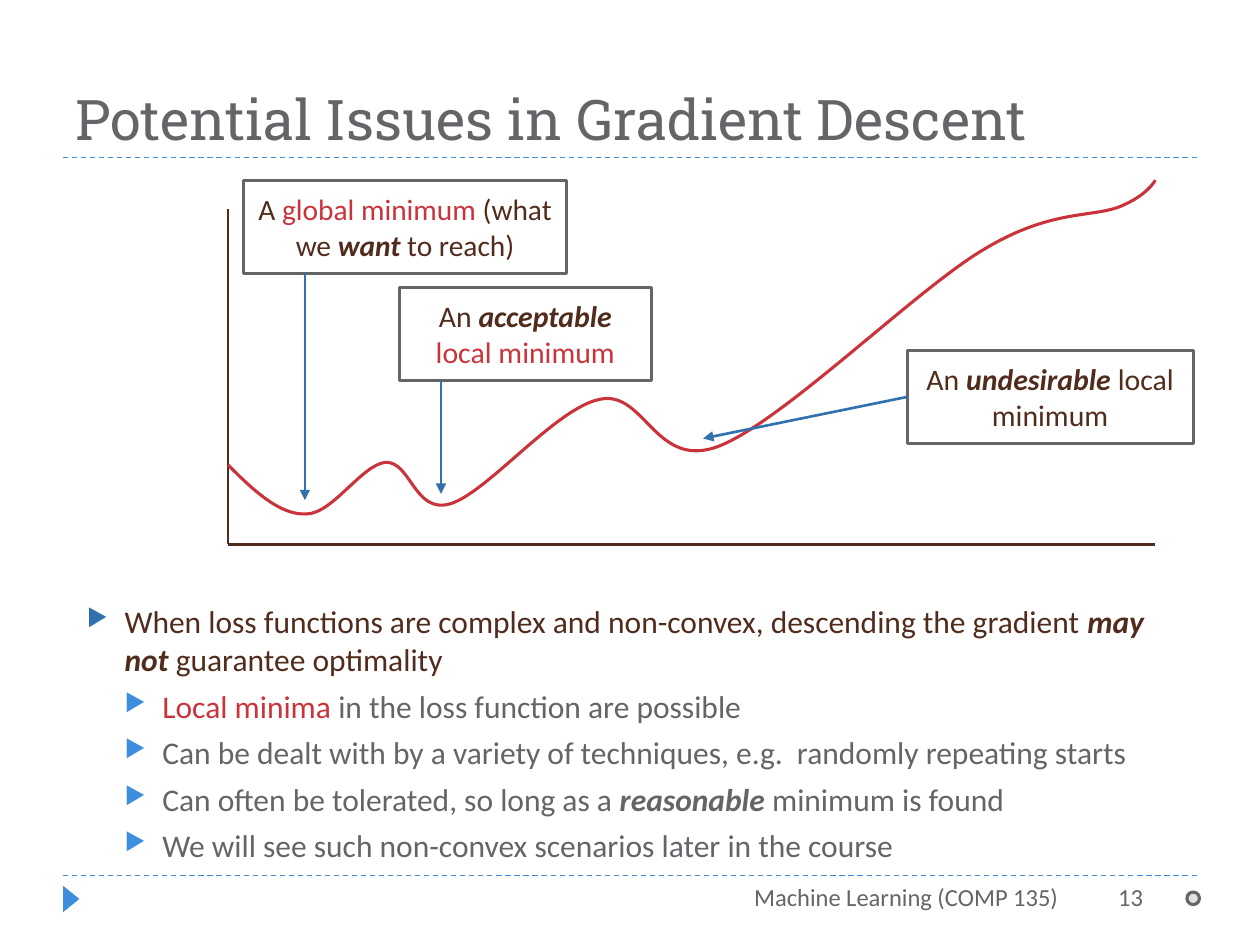
import lxml.etree
import pptx
import pptx.dml.color
import pptx.enum.dml
import pptx.enum.shapes
import pptx.enum.text
import pptx.oxml.ns
import pptx.util

SCALE = 9144  # EMU per px, 100 px to the inch
GRAY, BROWN, RED = "646469", "512C1D", "CB333B"
BLUE, DARK_BLUE, PALE = "3E8EDE", "3071AE", "E0E0E1"
SHAPES = pptx.enum.shapes.MSO_SHAPE
ALIGN = pptx.enum.text.PP_ALIGN
ANCHOR = pptx.enum.text.MSO_ANCHOR
STRONG = {"bold": True, "italic": True}


def px(value):
    return pptx.util.Emu(round(value * SCALE))


def rgb(color):
    return pptx.dml.color.RGBColor.from_string(color)


def add_element(parent, tag, **attributes):
    element = lxml.etree.SubElement(parent, pptx.oxml.ns.qn(tag))
    for name, value in attributes.items():
        element.set(name, str(value))
    return element


def add_text(paragraph, text, size=18, color=BROWN, font="Calibri", bold=False, italic=False):
    run = paragraph.add_run()
    run.text = text
    run.font.name = font
    run.font.size = pptx.util.Pt(size)
    run.font.color.rgb = rgb(color)
    run.font.bold = bold
    run.font.italic = italic


def add_box(slide, box, anchor=ANCHOR.TOP, align=ALIGN.LEFT):
    shape = slide.shapes.add_textbox(*map(px, box))
    frame = shape.text_frame
    frame.word_wrap = True
    frame.vertical_anchor = anchor
    frame.paragraphs[0].alignment = align
    return frame


def add_preset(slide, kind, box, fill, line=None):
    shape = slide.shapes.add_shape(kind, *map(px, box))
    shape.shadow.inherit = False
    shape.fill.solid()
    shape.fill.fore_color.rgb = rgb(fill)
    if line:
        shape.line.color.rgb = rgb(line)
        shape.line.width = pptx.util.Pt(1.75)
    else:
        shape.line.fill.background()
    return shape


def add_line(slide, start, end, color, width=1.5, dashed=False, arrow=False):
    connector = slide.shapes.add_connector(
        pptx.enum.shapes.MSO_CONNECTOR.STRAIGHT, *map(px, (*start, *end)))
    connector.line.color.rgb = rgb(color)
    connector.line.width = pptx.util.Pt(width)
    if dashed:
        connector.line.dash_style = pptx.enum.dml.MSO_LINE.DASH
    if arrow:
        add_element(connector.line._get_or_add_ln(), "a:tailEnd", type="triangle")
    add_element(connector._element.spPr, "a:effectLst")


def add_title(slide, box):
    left, top, width, height = box
    frame = add_box(slide, box, anchor=ANCHOR.BOTTOM)
    add_text(frame.paragraphs[0], "Potential Issues in Gradient Descent",
             size=32, color=GRAY, font="Roboto Slab")
    add_line(slide, (left, top + height), (left + width, top + height), BLUE, 0.75, dashed=True)


def add_curve(slide, left, top, points):
    """Draw a chain of Bezier curves: a start, then three points per curve."""
    placed = [(left + x, top + y) for x, y in points]
    builder = slide.shapes.build_freeform(*placed[0], scale=SCALE)
    builder.add_line_segments(placed[1:], close=False)
    shape = builder.convert_to_shape()
    shape.shadow.inherit = False
    shape.fill.background()
    shape.line.color.rgb = rgb(RED)
    shape.line.width = pptx.util.Pt(1.75)
    # Join every three line segments into one curve
    segments = list(shape._element.iter(pptx.oxml.ns.qn("a:lnTo")))
    for index in range(0, len(segments), 3):
        curve = lxml.etree.Element(pptx.oxml.ns.qn("a:cubicBezTo"))
        segments[index].addprevious(curve)
        for segment in segments[index:index + 3]:
            curve.append(segment[0])
            segment.getparent().remove(segment)


def add_callout(slide, box, runs, size=17):
    shape = add_preset(slide, SHAPES.RECTANGLE, box, "FFFFFF", GRAY)
    color = shape._element.spPr.find(pptx.oxml.ns.qn("a:solidFill"))[0]
    add_element(color, "a:alpha", val=50000)
    frame = shape.text_frame
    frame.word_wrap = True
    frame.vertical_anchor = ANCHOR.MIDDLE
    frame.paragraphs[0].alignment = ALIGN.CENTER
    for text, style in runs:
        add_text(frame.paragraphs[0], text, size=size, **style)


def add_loss_plot(slide, box):
    left, top, width, height = box
    bottom = top + height

    # Axes
    add_line(slide, (left, top + 23), (left, bottom), BROWN)
    add_line(slide, (left, bottom), (left + width, bottom), BROWN)

    # Loss function
    add_curve(slide, left, top, [
        (0, 226),
        (20, 246), (41, 266), (62, 265),
        (83, 265), (106, 226), (125, 224),
        (145, 223), (148, 265), (176, 257),
        (205, 249), (260, 181), (295, 174),
        (331, 166), (339, 231), (390, 211),
        (441, 191), (547, 86), (600, 55),
        (653, 23), (685, 30), (708, 21),
        (730, 12), (736, 0), (736, 0)])

    # Callouts
    add_callout(slide, (left + 12, top, 257, 74), [
        ("A ", {}), ("global minimum ", {"color": RED}), ("(what we ", {}),
        ("want", STRONG), (" to reach)", {})], size=16.8)
    add_callout(slide, (left + 136, top + 85, 200, 74), [
        ("An ", {}), ("acceptable ", STRONG), ("local minimum", {"color": RED})])
    add_callout(slide, (left + 539, top + 135, 227, 74), [
        ("An ", {}), ("undesirable ", STRONG), ("local minimum", {})])

    # Arrows from callouts to minima
    for x1, y1, x2, y2 in [(61, 74, 61, 254), (169, 159, 169, 249), (539, 172, 377, 205)]:
        add_line(slide, (left + x1, top + y1), (left + x2, top + y2), DARK_BLUE, arrow=True)


def add_bullets(slide, box, items):
    frame = add_box(slide, box)
    for index, (level, runs) in enumerate(items):
        paragraph = frame.add_paragraph() if index else frame.paragraphs[0]
        paragraph.level = level
        properties = paragraph._p.get_or_add_pPr()
        properties.set("marL", str(px(30 * (level + 1))))
        properties.set("indent", str(px(-30)))
        bullet_color = add_element(properties, "a:buClr")
        add_element(bullet_color, "a:srgbClr", val=BLUE if level else DARK_BLUE)
        add_element(properties, "a:buSzPct", val=76000)
        add_element(properties, "a:buChar", char="▶")
        if index:
            paragraph.space_before = pptx.util.Pt(5)
        for text, style in runs:
            add_text(paragraph, text, **{"color": GRAY if level else BROWN, **style})


def add_footer(slide, box):
    left, top, width, height = box
    add_line(slide, (left, top), (left + width, top), BLUE, 0.75, dashed=True)
    marker = add_preset(slide, SHAPES.ISOSCELES_TRIANGLE, (left - 4, top + 12, 21, 13), BLUE)
    marker.rotation = 90
    for x, label_width, text in [(333, 467, "Machine Learning (COMP 135)"), (758, 109, "13")]:
        frame = add_box(slide, (left + x, top, label_width, height), align=ALIGN.RIGHT)
        add_text(frame.paragraphs[0], text, size=14, color=GRAY)
    add_preset(slide, SHAPES.OVAL, (left + 892, top + 13, 10, 10), PALE, GRAY)


def main():
    presentation = pptx.Presentation()
    presentation.slide_width, presentation.slide_height = px(1000), px(750)
    slide = presentation.slides.add_slide(presentation.slide_layouts[6])
    add_title(slide, (50, 17, 900, 108))
    add_bullets(slide, (59, 473, 882, 211), [
        (0, [("When loss functions are complex and non-convex, descending the gradient ", {}),
             ("may not", STRONG), (" guarantee optimality", {})]),
        (1, [("Local minima ", {"color": RED}), ("in the loss function are possible", {})]),
        (1, [("Can be dealt with by a variety of techniques, e.g.  randomly repeating starts", {})]),
        (1, [("Can often be tolerated, so long as a ", {}), ("reasonable ", STRONG),
             ("minimum is found", {})]),
        (1, [("We will see such non-convex scenarios later in the course", {})])])
    add_footer(slide, (50, 695, 900, 40))
    add_loss_plot(slide, (181, 143, 736, 289))
    presentation.save("out.pptx")


if __name__ == "__main__":
    main()
